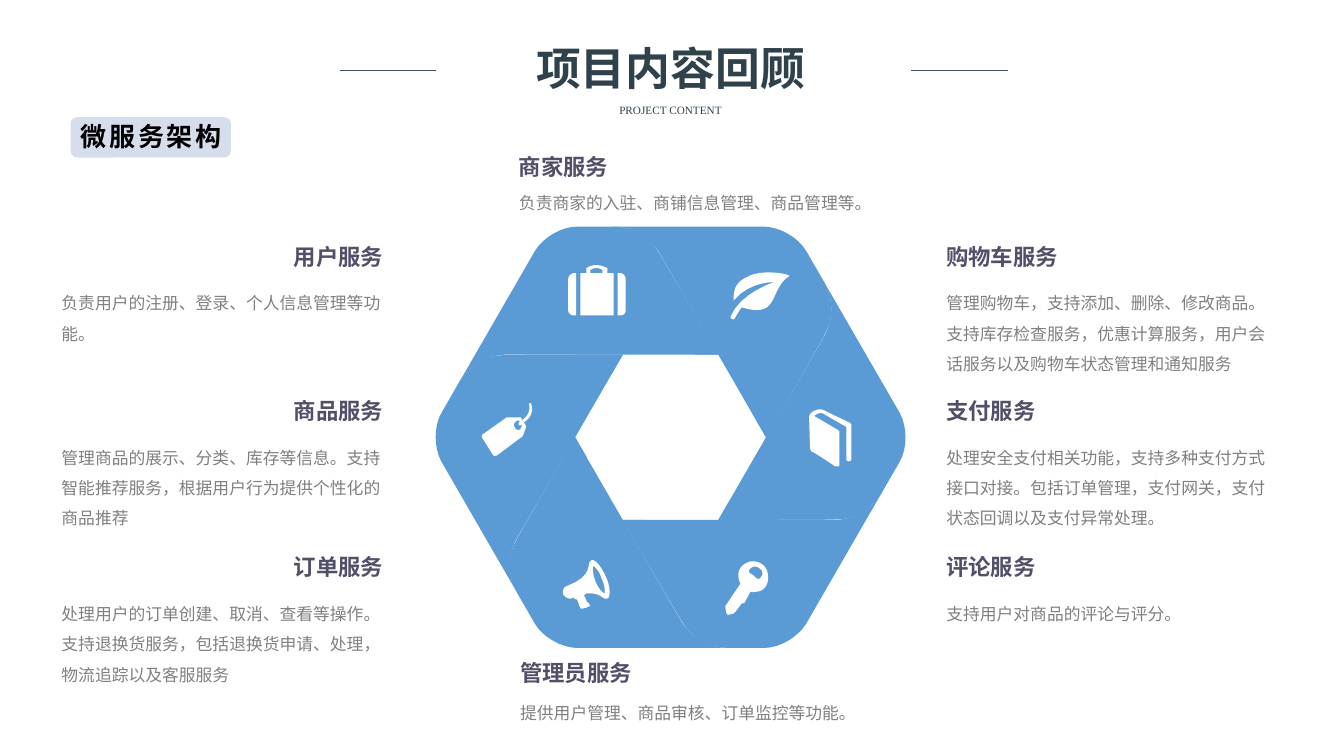
from dataclasses import dataclass
from math import cos, radians, sin

from lxml import etree
from pptx import Presentation
from pptx.dml.color import RGBColor
from pptx.enum.shapes import MSO_CONNECTOR, MSO_SHAPE
from pptx.enum.text import MSO_ANCHOR, MSO_AUTO_SIZE, PP_ALIGN
from pptx.oxml.ns import qn
from pptx.util import Cm, Pt

LEFT, MID, RIGHT = PP_ALIGN.LEFT, PP_ALIGN.CENTER, PP_ALIGN.RIGHT
TOP, GROW = MSO_ANCHOR.TOP, MSO_AUTO_SIZE.SHAPE_TO_FIT_TEXT
ROUND, LINE = MSO_SHAPE.ROUNDED_RECTANGLE, MSO_CONNECTOR.STRAIGHT


@dataclass(frozen=True)
class Theme:
    serif: str = "Times New Roman"
    sans: str = "Arial"
    ink: str = "2F414B"
    rule: str = "44546A"
    badge: str = "D6DEEE"
    black: str = "000000"
    head: str = "525068"
    note: str = "808080"
    blue: str = "5B9BD5"
    white: str = "FFFFFF"
    title_size: float = 32
    sub_size: float = 8
    badge_size: float = 18.6
    head_size: float = 16
    note_size: float = 12


THEME = Theme()
UNIT = 0.0254  # cm per step of the outlines below
STEPS = 8

BLADE = ("M -11.5 -183 C -20.5 -199 -37.5 -209 -57.5 -209 L -92.5 -209 "
         "C -108.5 -209 -126.5 -198 -134.5 -185 L -209.5 -55 "
         "C -199.5 -72 -182.5 -81 -164.5 -82 L 47.5 -82")
FOLD = "M -11.5 -183 L 24.5 -82 L 47.5 -82"

CASE = ("M 51 8 L 49 8 L 49 50 L 51 50 C 55 50 57 48 57 45 L 57 14 C 57 11 55 8 51 8 "
        "M 0 14 L 0 45 C 0 48 3 50 6 50 L 8 50 L 8 8 L 6 8 C 3 8 0 11 0 14 "
        "M 39 3 C 36 2 33 0 28 0 C 23 0 20 2 18 3 L 18 8 L 12 8 L 12 50 L 45 50 "
        "L 45 8 L 39 8 M 34 8 L 22 8 L 22 5 C 23 4 25 3 28 3 C 31 3 33 4 34 5")
LEAF = ("M 15 11 C 3 17 4 28 4 33 C 20 14 44 15 44 15 C 44 15 10 26 1 49 "
        "C 0 51 4 53 5 51 C 8 45 12 40 12 40 C 19 42 29 45 37 40 "
        "C 46 33 46 17 59 9 C 63 8 31 0 15 11")
BOOK = ("M 41 15 L 14 2 C 10 0 3 3 1 6 C 0 8 0 9 0 9 L 1 41 C 1 41 2 42 2 43 "
        "C 4 43 26 58 26 58 L 29 58 C 30 58 30 57 30 57 L 30 24 C 30 23 30 23 29 22 "
        "L 5 8 C 5 8 6 7 8 6 C 10 5 11 5 13 5 C 13 5 35 18 36 18 L 37 19 L 37 51 "
        "C 37 52 38 53 39 53 C 40 53 42 52 42 51 L 42 17")
KEY = ("M 42 13 C 41 5 33 0 25 1 C 17 3 12 9 13 16 C 13 18 14 21 15 23 L 1 44 "
       "C 0 44 0 46 0 47 L 1 52 C 1 53 2 54 3 54 L 7 53 C 8 53 9 52 10 51 L 16 43 "
       "L 19 42 L 25 31 C 27 32 31 31 32 31 C 40 30 44 21 42 13 "
       "M 35 17 C 33 20 31 18 28 15 C 25 13 22 12 24 9 C 26 6 31 5 34 8 "
       "C 37 10 38 14 35 17")
HORN = ("M 43 17 C 39 8 33 0 29 1 C 23 4 33 16 4 27 C 1 28 0 32 1 35 C 2 37 6 40 9 39 "
        "L 11 38 C 13 41 15 39 15 41 C 16 43 17 46 17 47 C 18 48 19 50 20 49 "
        "C 21 49 25 48 26 47 C 28 47 28 46 27 45 C 27 44 25 43 25 43 "
        "C 24 42 23 38 22 37 C 21 36 23 34 25 34 C 39 33 40 41 45 39 C 48 38 48 27 43 17 "
        "M 42 34 C 41 34 36 30 33 22 C 30 15 30 7 31 7 C 32 7 37 12 39 19 C 43 27 42 33 42 34")
TAG = ("M 49 0 L 48 0 C 47 0 47 1 47 1 C 49 9 44 14 40 17 L 39 14 C 38 14 37 14 37 14 "
       "L 28 14 C 27 14 26 14 25 14 L 1 31 C 0 32 0 34 1 35 L 11 51 C 12 53 14 52 15 52 "
       "L 39 34 C 40 34 41 32 41 32 L 44 24 C 44 23 44 22 43 21 L 42 19 "
       "C 48 15 52 9 49 0 M 38 26 C 37 27 34 27 33 24 C 31 22 32 20 34 18 "
       "C 35 17 37 17 38 18 L 37 19 C 37 19 36 20 37 21 L 37 22 L 38 22 "
       "C 39 22 39 22 40 21 C 40 23 39 25 38 26")

# Outline and its offset in cm from the ring's centre, clockwise
ICONS = [(CASE, -2.58, -4.34), (LEAF, 1.49, -4.29), (BOOK, 3.49, -0.74),
         (KEY, 1.38, 3.1), (HORN, -2.73, 3.07), (TAG, -4.76, -0.86)]

ROWS = [5.99, 9.88, 13.82]
USERS = [
    ("用户服务", "负责用户的注册、登录、个人信息管理等功能。"),
    ("商品服务", "管理商品的展示、分类、库存等信息。支持智能推荐服务，根据用户行为提供个性化的商品推荐"),
    ("订单服务", "处理用户的订单创建、取消、查看等操作。支持退换货服务，包括退换货申请、处理，物流追踪以及客服服务"),
]
SALES = [
    ("购物车服务", "管理购物车，支持添加、删除、修改商品。支持库存检查服务，优惠计算服务，用户会话服务以及购物车状态管理和通知服务"),
    ("支付服务", "处理安全支付相关功能，支持多种支付方式接口对接。包括订单管理，支付网关，支付状态回调以及支付异常处理。"),
    ("评论服务", "支持用户对商品的评论与评分。"),
]


def rgb(code):
    return RGBColor.from_string(code)


def place(shape, x, y, w, h):
    shape.left, shape.top, shape.width, shape.height = Cm(x), Cm(y), Cm(w), Cm(h)


def write(shape, text, size, color, font=THEME.serif, bold=False, align=LEFT, lead=1.0):
    frame = shape.text_frame
    frame.text = text
    frame.word_wrap, frame.auto_size, frame.vertical_anchor = True, GROW, TOP
    para = frame.paragraphs[0]
    para.alignment, para.line_spacing, para.space_before = align, lead, Pt(0)
    para.font.name, para.font.size, para.font.bold = font, Pt(size), bold
    para.font.color.rgb = rgb(color)
    return para


def label(slide, x, y, w, h, text, *style, **more):
    box = slide.shapes.add_textbox(Cm(x), Cm(y), Cm(w), Cm(h))
    return write(box, text, *style, **more)


def trace(code):
    """Turn an outline of M, L and C steps into lists of points, one per contour."""
    loops = []
    words = code.replace("M", "|M").replace("L", "|L").replace("C", "|C").split("|")[1:]
    for word in words:
        kind, *nums = word.split()
        nums = [float(n) for n in nums]
        pts = list(zip(nums[::2], nums[1::2]))
        if kind == "M":
            loops.append(pts)
        elif kind == "L":
            loops[-1] += pts
        else:
            curve = [loops[-1][-1], *pts]
            for i in range(1, STEPS + 1):
                t = i / STEPS
                mix = ((1 - t) ** 3, 3 * t * (1 - t) ** 2, 3 * t * t * (1 - t), t ** 3)
                loops[-1].append(tuple(sum(m * p[k] for m, p in zip(mix, curve))
                                       for k in (0, 1)))
    return loops


def outline(shapes, code, x, y, color, turn=0):
    """Fill an outline whose zero point is at x, y, turned clockwise by degrees."""
    c, s = cos(radians(turn)), sin(radians(turn))
    loops = [[(Cm(UNIT * (a * c - b * s)), Cm(UNIT * (a * s + b * c))) for a, b in loop]
             for loop in trace(code)]
    pen = shapes.build_freeform(*loops[0][0])
    pen.add_line_segments(loops[0][1:])
    for loop in loops[1:]:
        pen.move_to(*loop[0])
        pen.add_line_segments(loop[1:])
    shape = pen.convert_to_shape(Cm(x), Cm(y))
    shape.shadow.inherit = False
    shape.fill.solid()
    shape.fill.fore_color.rgb = rgb(color)
    shape.line.fill.background()


def header(slide, x, y, w):
    title = slide.shapes.title
    place(title, x + 3.12, y, 10.44, 1.63)
    write(title, "项目内容回顾", THEME.title_size, THEME.ink, bold=True, align=MID)
    label(slide, x + 6.32, y + 1.6, 4.04, 0.58, "PROJECT CONTENT",
          THEME.sub_size, THEME.ink, align=MID)
    rules = slide.shapes.add_group_shape().shapes
    for start in (x, x + w - 2.43):
        rule = rules.add_connector(LINE, Cm(start), Cm(y + 0.89), Cm(start + 2.43), Cm(y + 0.89))
        rule.line.color.rgb, rule.line.width = rgb(THEME.rule), Pt(0.5)
        etree.SubElement(rule.element.spPr, qn("a:effectLst"))


def badge(slide, x, y, w, h):
    plate = slide.shapes.add_shape(ROUND, Cm(x), Cm(y), Cm(w), Cm(h))
    plate.shadow.inherit = False
    plate.fill.solid()
    plate.fill.fore_color.rgb = rgb(THEME.badge)
    plate.line.fill.background()
    para = label(slide, x, y - 0.03, 27.41, 1.04, "微服务架构",
                 THEME.badge_size, THEME.black, font=THEME.sans, bold=True)
    para.runs[0].font._element.set("spc", "200")


def ring(slide, x, y):
    """Six blades, each turned 60 degrees from the last, around x, y."""
    for i, (icon, dx, dy) in enumerate(ICONS):
        blade = slide.shapes.add_group_shape().shapes
        for code in (BLADE, FOLD):
            outline(blade, code, x, y, THEME.blue, 60 * i)
        outline(slide.shapes, icon, x + dx, y + dy, THEME.white)


def service(slide, x, y, w, name, note, gap=1.02, align=LEFT):
    wide = 5.26
    left = x + w - wide if align == RIGHT else x
    label(slide, left, y, wide, 0.94, name, THEME.head_size, THEME.head,
          bold=True, align=align)
    chars = int((w - 0.5) / 0.423)
    lines = -(-len(note) // chars)
    label(slide, x, y + gap, w, 0.25 + 0.77 * lines, note,
          THEME.note_size, THEME.note, lead=1.5)


def main():
    deck = Presentation()
    deck.slide_width, deck.slide_height = Cm(33.87), Cm(19.05)
    slide = deck.slides.add_slide(deck.slide_layouts[5])
    header(slide, 8.56, 0.89, 16.84)
    badge(slide, 1.78, 2.95, 4.04, 1.02)
    ring(slide, 16.9, 11.02)
    for x, align, items in ((23.6, LEFT, SALES), (1.3, RIGHT, USERS)):
        for y, (name, note) in zip(ROWS, items):
            service(slide, x, y, 8.61, name, note, align=align)
    service(slide, 12.83, 3.73, 9.65, "商家服务",
            "负责商家的入驻、商铺信息管理、商品管理等。", 0.74)
    service(slide, 12.86, 16.48, 9.75, "管理员服务",
            "提供用户管理、商品审核、订单监控等功能。", 0.84)
    deck.save("out.pptx")


if __name__ == "__main__":
    main()
